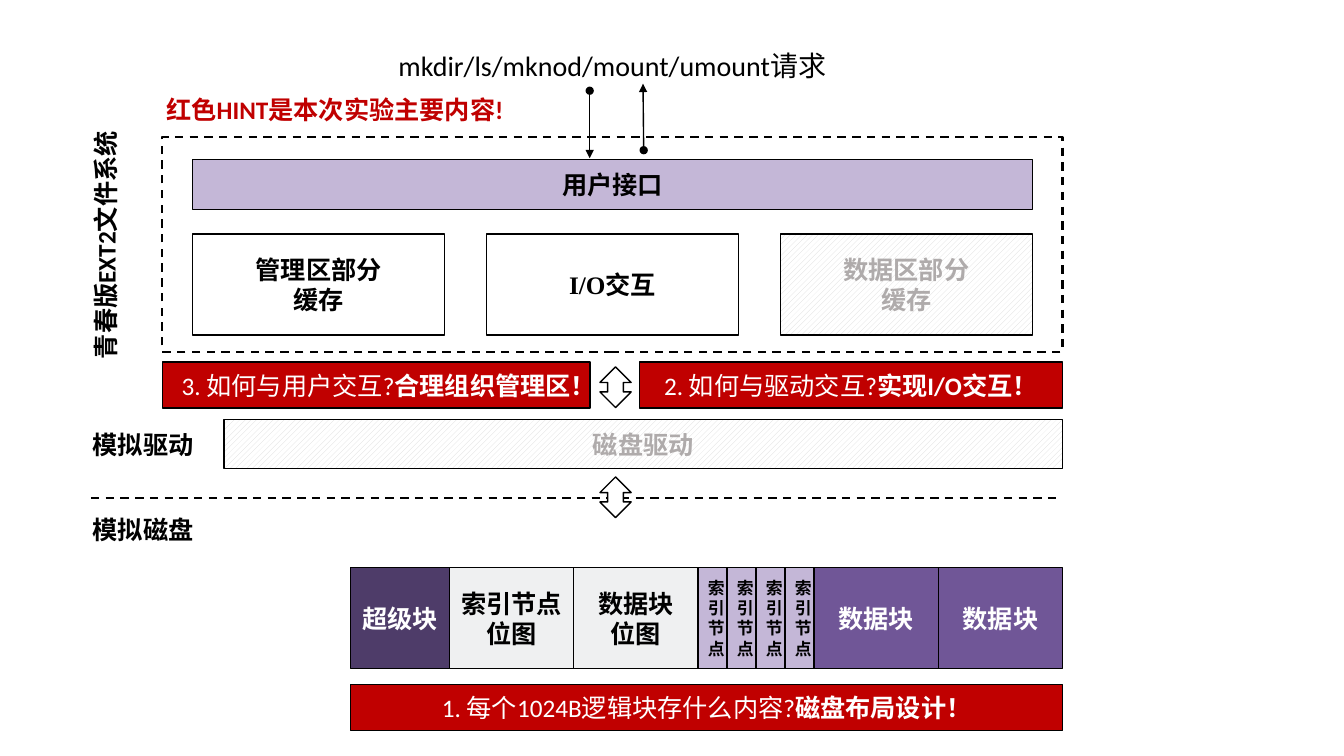
import pptx
import pptx.util
import pptx.dml.color
import pptx.enum.dml
import pptx.enum.shapes
import pptx.enum.text
import pptx.oxml.ns
from lxml import etree

Pt = pptx.util.Pt
RGB = pptx.dml.color.RGBColor
SHAPE = pptx.enum.shapes.MSO_SHAPE
ALIGN = pptx.enum.text.PP_ALIGN
ANCHOR = pptx.enum.text.MSO_ANCHOR
DASH = pptx.enum.dml.MSO_LINE.DASH
qn = pptx.oxml.ns.qn

BLACK = RGB(0x00, 0x00, 0x00)
WHITE = RGB(0xFF, 0xFF, 0xFF)
RED = RGB(0xC0, 0x00, 0x00)
LILAC = RGB(0xC4, 0xB7, 0xD7)
PURPLE = RGB(0x70, 0x56, 0x97)
DARK_PURPLE = RGB(0x4E, 0x3C, 0x69)
PALE = RGB(0xEF, 0xF0, 0xF1)
HATCH = RGB(0xD9, 0xD9, 0xD9)
MUTED = RGB(0xAF, 0xAB, 0xAB)

SANS = "Calibri"
SERIF = "Times New Roman"


def add_runs(p, runs, size, font, color):
    """Add (text, bold) pairs to a paragraph."""
    for text, bold in runs:
        r = p.add_run()
        r.text = text
        r.font.size = Pt(size)
        r.font.name = font
        r.font.bold = bold
        r.font.color.rgb = color


def add_block(s, box, fill, paragraphs=(), color=BLACK, size=18, font=SERIF,
              kind=SHAPE.RECTANGLE):
    """Outlined shape with centred text; a fill of None gives hatching."""
    sp = s.shapes.add_shape(kind, *map(Pt, box))
    sp.shadow.inherit = False
    if fill is None:
        sp.fill.patterned()
        sp.fill.pattern = pptx.enum.dml.MSO_PATTERN.WIDE_UPWARD_DIAGONAL
        sp.fill.fore_color.rgb = HATCH
        sp.fill.back_color.rgb = WHITE
    else:
        sp.fill.solid()
        sp.fill.fore_color.rgb = fill
    sp.line.color.rgb = BLACK
    sp.line.width = Pt(1)
    tf = sp.text_frame
    tf.word_wrap = True
    tf.vertical_anchor = ANCHOR.MIDDLE
    for i, runs in enumerate(paragraphs):
        p = tf.add_paragraph() if i else tf.paragraphs[0]
        p.alignment = ALIGN.CENTER
        add_runs(p, runs, size, font, color)
    return sp


def add_label(s, box, text, color=BLACK, size=18, bold=True, align=ALIGN.LEFT):
    sp = s.shapes.add_textbox(*map(Pt, box))
    sp.text_frame.word_wrap = True
    p = sp.text_frame.paragraphs[0]
    p.alignment = align
    add_runs(p, [(text, bold)], size, SANS, color)
    return sp


def add_line(s, start, end, width=1):
    c = s.shapes.add_connector(pptx.enum.shapes.MSO_CONNECTOR.STRAIGHT,
                               *map(Pt, start + end))
    c.line.color.rgb = BLACK
    c.line.width = Pt(width)
    etree.SubElement(c._element.spPr, qn("a:effectLst"))
    return c


def add_request_arrow(s, start, end):
    ln = add_line(s, start, end).line._get_or_add_ln()
    for tag, kind in (("a:headEnd", "oval"), ("a:tailEnd", "triangle")):
        etree.SubElement(ln, qn(tag)).set("type", kind)


def add_hint(s, box, question, answer):
    add_block(s, box, RED, [[(question, False), (answer, True)]], WHITE, font=SANS)


def draw_requests(s, x, y, w, h):
    add_label(s, (x, y, w, 31.5), "mkdir/ls/mknod/mount/umount请求",
              size=20, bold=False, align=ALIGN.CENTER)
    add_request_arrow(s, (x + 305.2, y + 33.8), (x + 305.2, y + h))
    add_request_arrow(s, (x + 343.8, y + 76.3), (x + 343.3, y + 28.8))


def draw_file_system(s, x, y, w, h):
    frame = add_block(s, (x, y, w, h), WHITE)
    frame.line.width = Pt(1.5)
    frame.line.dash_style = DASH

    pad, cache_w = 21.6, 180
    inner = w - 2 * pad
    add_block(s, (x + pad, y + 16, inner, 35.5), LILAC, [[("用户接口", True)]])
    modules = [
        (WHITE, BLACK, ["管理区部分", "缓存"]),
        (WHITE, BLACK, ["I/O交互"]),
        (None, MUTED, ["数据区部分", "缓存"]),
    ]
    step = (inner - cache_w) / 2
    for i, (fill, color, lines) in enumerate(modules):
        add_block(s, (x + pad + i * step, y + 69.3, cache_w, 72), fill,
                  [[(line, True)] for line in lines], color)

    side_w, side_h = 178.6, 29
    side = add_label(s, (x - 40.5 - side_w / 2, y + h / 2 - side_h / 2 - 0.3,
                         side_w, side_h), "青春版EXT2文件系统")
    side.rotation = 270
    add_label(s, (x - 4.3, y - 34, 257.8, 29), "红色HINT是本次实验主要内容!", RED)


def draw_interaction_hints(s, x, y, w, h):
    add_hint(s, (x, y, 305.5, h), "3. 如何与用户交互?", "合理组织管理区！")
    add_hint(s, (x + w - 302.4, y, 302.4, h), "2. 如何与驱动交互?", "实现I/O交互！")


def draw_driver(s, x, y, w, h):
    """Driver bar, with the divider to the disk and the arrows around it."""
    add_label(s, (x - 5.8, y + 3.3, 87, 29), "模拟驱动")
    add_block(s, (x + 95, y, w - 95, h), None, [[("磁盘驱动", True)]], MUTED)
    divider = add_line(s, (x, y + 56.2), (x + w, y + 56.2), 1.5)
    divider.line.dash_style = DASH
    for top in (y - 37.4, y + 41.2):
        add_block(s, (x + 363.5, top, 22.3, 29), WHITE, kind=SHAPE.UP_DOWN_ARROW)
    add_label(s, (x - 5.8, y + 64.3, 126, 29), "模拟磁盘")


def draw_disk(s, x, y, w, h):
    inode = (20.7, LILAC, BLACK, 12, ["索引节点"])
    data = (88.8, PURPLE, WHITE, 18, ["数据块"])
    blocks = [
        (70.5, DARK_PURPLE, WHITE, 18, ["超级块"]),
        (88.8, PALE, BLACK, 18, ["索引节点", "位图"]),
        (88.8, PALE, BLACK, 18, ["数据块", "位图"]),
    ] + [inode] * 4 + [data] * 2
    left = x
    for width, fill, color, size, lines in blocks:
        add_block(s, (left, y, width, 72), fill,
                  [[(line, True)] for line in lines], color, size)
        left += width
    add_hint(s, (x, y + h - 33, w, 33), "1. 每个1024B逻辑块存什么内容?", "磁盘布局设计！")


def main():
    prs = pptx.Presentation()
    prs.slide_width, prs.slide_height = Pt(960), Pt(540)
    s = prs.slides.add_slide(prs.slide_layouts[6])
    draw_driver(s, 65, 299.5, 694, 35.3)
    draw_file_system(s, 116, 98, 643, 153.3)
    draw_disk(s, 250.5, 405.5, 508.5, 116.4)
    draw_interaction_hints(s, 116, 258.5, 643, 33)
    draw_requests(s, 116, 31, 643, 82)
    prs.save("out.pptx")


if __name__ == "__main__":
    main()
